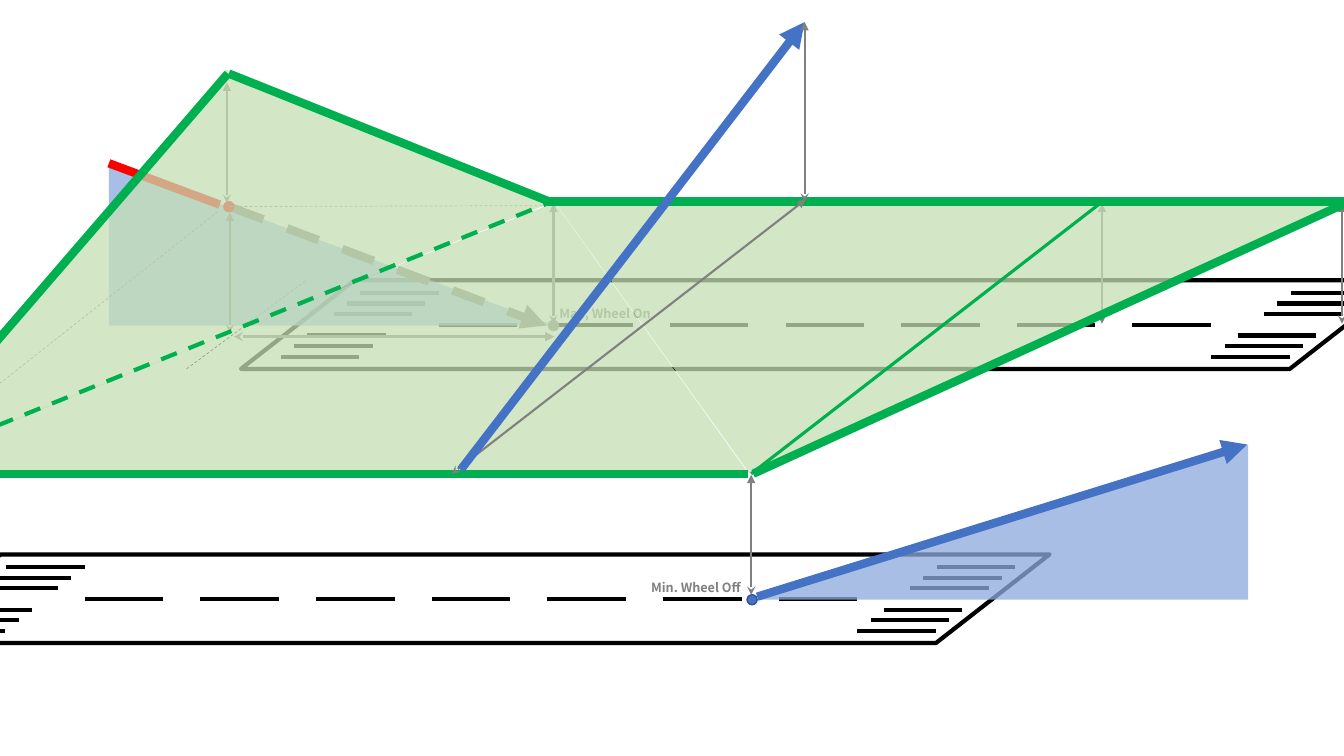
from lxml import etree
from pptx import Presentation
from pptx.dml.color import RGBColor
from pptx.enum import dml, shapes, text
from pptx.oxml import ns
from pptx.util import Inches, Pt

BLACK = RGBColor(0, 0, 0)
GRAY = RGBColor(0x80, 0x80, 0x80)
RED = RGBColor(0xFF, 0, 0)
BLUE = RGBColor(0x44, 0x72, 0xC4)
NAVY = RGBColor(0x32, 0x54, 0x91)
SKY = RGBColor(0x8F, 0xAA, 0xDC)
GREEN = RGBColor(0, 0xB0, 0x50)
PALE = RGBColor(0xC5, 0xE0, 0xB4)
FONT = "Noto Sans CJK KR"
KIND = shapes.MSO_SHAPE


def add_line(slide, start, end, color, width, dash=False, head=None, tail=None):
    """Draw a straight line with optional dashes and arrowheads."""
    ends = [Inches(v) for v in (*start, *end)]
    line = slide.shapes.add_connector(shapes.MSO_CONNECTOR.STRAIGHT, *ends)
    line.line.color.rgb = color
    line.line.width = Pt(width)
    if dash:
        line.line.dash_style = dml.MSO_LINE.DASH
    pen = line.line._get_or_add_ln()
    for tag, tip in (("a:headEnd", head), ("a:tailEnd", tail)):
        if tip:
            etree.SubElement(pen, ns.qn(tag)).set("type", tip)
    etree.SubElement(line._element.spPr, ns.qn("a:effectLst"))


def add_span(slide, start, end, width=1.5):
    """Draw a gray double-headed dimension line."""
    add_line(slide, start, end, GRAY, width, head="stealth", tail="triangle")


def add_form(slide, kind, box, fill=None, edge=None, width=1):
    """Draw a preset shape with the given fill and outline."""
    form = slide.shapes.add_shape(kind, *[Inches(v) for v in box])
    form.shadow.inherit = False
    if fill is None:
        form.fill.background()
    else:
        form.fill.solid()
        form.fill.fore_color.rgb = fill
    if edge is None:
        form.line.fill.background()
    else:
        form.line.color.rgb = edge
        form.line.width = Pt(width)
    return form


def add_face(slide, box, apex, color, alpha, turn=0):
    """Draw a translucent triangle."""
    face = add_form(slide, KIND.ISOSCELES_TRIANGLE, box, color)
    face.adjustments[0] = apex
    face.rotation = turn
    tint = face._element.spPr.find(".//" + ns.qn("a:srgbClr"))
    etree.SubElement(tint, ns.qn("a:alpha")).set("val", str(alpha * 1000))


def add_dot(slide, left, top, fill, edge):
    """Draw a small round marker."""
    add_form(slide, KIND.OVAL, (left, top, 0.1, 0.1), fill, edge)


def add_label(slide, box, words):
    """Write a small bold gray label."""
    label = slide.shapes.add_textbox(*[Inches(v) for v in box])
    frame = label.text_frame
    frame.text = words
    frame.word_wrap = False
    frame.auto_size = text.MSO_AUTO_SIZE.SHAPE_TO_FIT_TEXT
    font = frame.paragraphs[0].runs[0].font
    font.name, font.size, font.bold = FONT, Pt(9), True
    font.color.rgb = GRAY


def add_runway(slide, left, top):
    """Draw a runway with threshold stripes and a centre line."""
    box = (left, top, 11.53, 0.88)
    add_form(slide, KIND.PARALLELOGRAM, box, None, BLACK, 3).adjustments[0] = 1.281
    marks = [(far + 1.18 - 0.131 * row, 0.125 + 0.106 * row)
             for far in (9.23, 0) for row in (0, 1, 2, 4, 5, 6)]
    marks += [(1.96 + 1.147 * i, 0.445) for i in range(7)]
    for x, y in marks:
        add_line(slide, (left + x, top + y), (left + x + 0.78, top + y), BLACK, 3)


def add_plane(slide):
    """Draw the green obstacle surface with its edges and heights."""
    add_line(slide, (2.16, 2.1), (-1.14, 4.7), GRAY, 0.5, True)
    add_line(slide, (5.43, 2.04), (2.25, 2.05), GRAY, 0.5, True)
    for x, low in ((2.25, 2.01), (10.93, 3.21), (5.49, 3.21), (7.45, 5.9), (13.31, 3.21)):
        add_span(slide, (x, low), (x, low - 1.19))
    for box, apex, turn in (
        ((-1.86, 1.01, 7.09, 2.44), 0.654, 337.9),
        ((-1.15, 2.01, 8.56, 2.67), 0.777, 0),
        ((5.52, 2.03, 5.38, 2.67), 0.644, 180),
        ((6.97, 2.37, 6.47, 1.02), 0.664, 335.8),
    ):
        add_face(slide, box, apex, PALE, 75, turn)
    for start, end, width, dash in (
        ((2.27, 0.73), (5.45, 2), 6, False),
        ((5.44, 2), (13.33, 2), 6, False),
        ((-1.17, 4.7), (7.42, 4.7), 6, False),
        ((-1.15, 4.68), (2.26, 0.73), 6, False),
        ((-1.11, 4.66), (5.45, 2.01), 3, True),
        ((7.47, 4.7), (13.36, 2.01), 6, False),
        ((7.45, 4.7), (10.96, 1.98), 2.25, False),
    ):
        add_line(slide, start, end, GREEN, width, dash)
    add_span(slide, (4.48, 4.7), (7.99, 1.98))


def main():
    """Build the slide and save it."""
    deck = Presentation()
    deck.slide_width, deck.slide_height = Inches(13.33), Inches(7.5)
    slide = deck.slides.add_slide(deck.slide_layouts[6])

    add_line(slide, (1.85, 3.66), (3.04, 2.78), BLACK, 0.5, True)
    add_runway(slide, 2.39, 2.78)
    add_face(slide, (1.08, 1.62, 4.42, 1.61), 0, SKY, 76)
    add_runway(slide, -1.12, 5.5)
    add_label(slide, (5.45, 2.99, 1.14, 0.25), "Max, Wheel On")
    add_label(slide, (6.36, 5.7, 1.13, 0.25), "Min. Wheel Off")
    add_dot(slide, 7.41, 5.9, BLUE, NAVY)
    add_dot(slide, 5.44, 3.18, GRAY, GRAY)

    add_face(slide, (7.52, 4.41, 4.86, 1.54), 1, SKY, 76)
    add_line(slide, (7.51, 5.92), (12.37, 4.41), BLUE, 6, tail="triangle")
    add_line(slide, (1.08, 1.62), (2.18, 2.03), RED, 6)
    add_line(slide, (2.3, 2.06), (5.42, 3.23), GRAY, 6, True, tail="triangle")
    add_span(slide, (2.32, 3.34), (5.5, 3.34), 2.25)
    add_dot(slide, 2.22, 2, RED, RED)
    add_span(slide, (2.28, 3.3), (2.28, 2.11))

    add_plane(slide)
    add_line(slide, (4.57, 4.66), (7.98, 0.22), BLUE, 6, tail="triangle")
    add_span(slide, (7.98, 2), (7.98, 0.22))
    deck.save("out.pptx")


if __name__ == "__main__":
    main()
